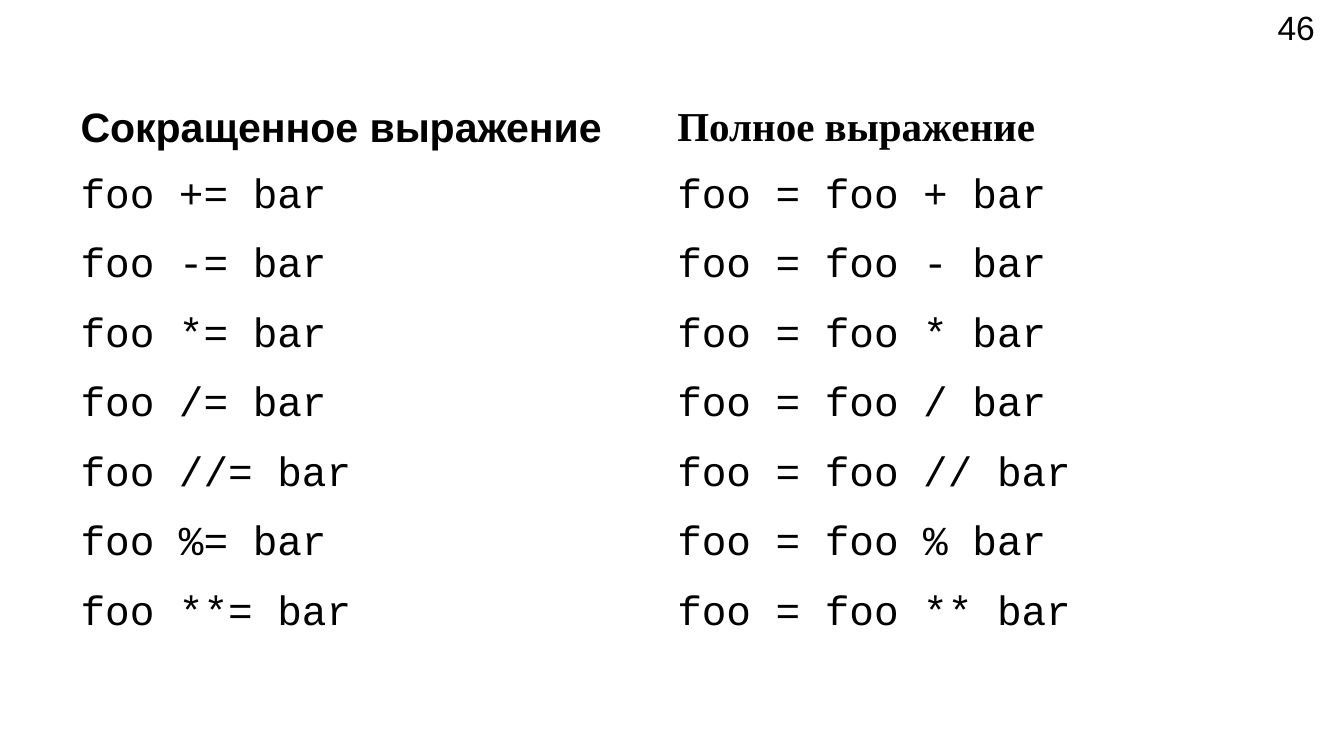
from dataclasses import dataclass

from pptx import Presentation
from pptx.dml.color import RGBColor
from pptx.enum.text import PP_ALIGN
from pptx.util import Emu, Pt

PX = 2286  # 400 px to the inch
COLORS = {"text": "000000", "page": "FFFFFF"}
OPERATORS = ["+", "-", "*", "/", "//", "%", "**"]
COLUMN_WIDTHS = [1776, 1868]
HEADER_HEIGHT, ROW_HEIGHT = 205, 207


@dataclass
class Style:
    font: str
    size: int
    bold: bool = False


@dataclass
class Entry:
    text: str
    style: Style


def px(length: int) -> Emu:
    return Emu(length * PX)


def write(frame, entry: Entry) -> None:
    para = frame.paragraphs[0]
    para.alignment = PP_ALIGN.LEFT
    span = para.add_run()
    span.text = entry.text
    span.font.name = entry.style.font
    span.font.size = Pt(entry.style.size)
    span.font.bold = entry.style.bold
    span.font.color.rgb = RGBColor.from_string(COLORS["text"])


def add_page_number(page, number: str) -> None:
    box = page.shapes.add_textbox(px(3763), px(0), px(536), px(160))
    box.text_frame.word_wrap = True
    write(box.text_frame, Entry(number, Style("Arial", 18)))


def add_operator_table(page, rows: list[list[Entry]]) -> None:
    height = HEADER_HEIGHT + ROW_HEIGHT * (len(rows) - 1)
    table = page.shapes.add_table(
        len(rows), len(COLUMN_WIDTHS), px(200), px(293), px(sum(COLUMN_WIDTHS)), px(height)
    ).table
    table.first_row = False
    table.horz_banding = False
    for column, width in zip(table.columns, COLUMN_WIDTHS):
        column.width = px(width)
    for index, entries in enumerate(rows):
        table.rows[index].height = px(ROW_HEIGHT if index else HEADER_HEIGHT)
        for cell, entry in zip(table.rows[index].cells, entries):
            cell.fill.background()
            write(cell.text_frame, entry)


def main() -> None:
    deck = Presentation()
    deck.slide_width, deck.slide_height = px(4000), px(2250)
    page = deck.slides.add_slide(deck.slide_layouts[6])
    page.background.fill.solid()
    page.background.fill.fore_color.rgb = RGBColor.from_string(COLORS["page"])

    # Page number in the top right corner
    add_page_number(page, "46")

    # Short and full form of each assignment
    code = Style("Courier New", 22)
    header = [
        Entry("Сокращенное выражение", Style("Arial", 22, bold=True)),
        Entry("Полное выражение", Style("Times New Roman", 22, bold=True)),
    ]
    body = [
        [Entry(f"foo {sign}= bar", code), Entry(f"foo = foo {sign} bar", code)]
        for sign in OPERATORS
    ]
    add_operator_table(page, [header, *body])

    deck.save("out.pptx")


if __name__ == "__main__":
    main()
